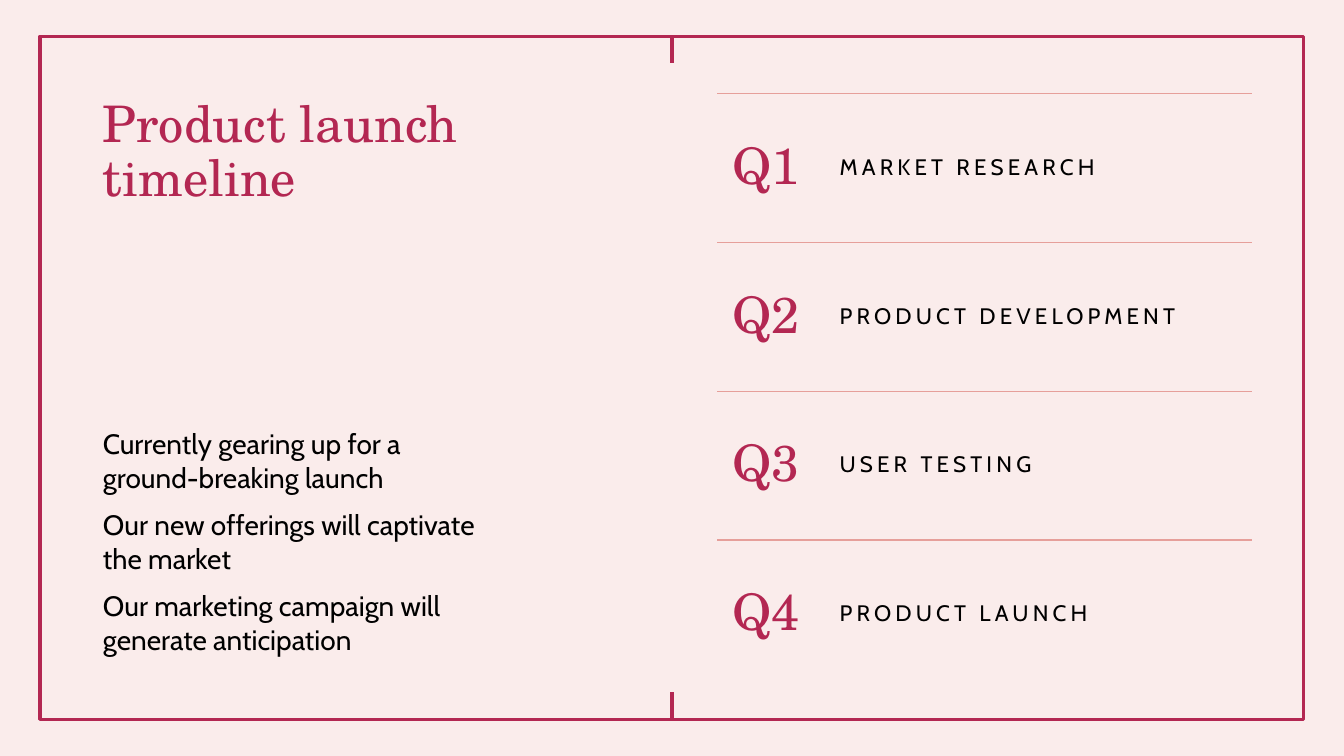
from lxml import etree
from pptx import Presentation
from pptx.dml.color import RGBColor
from pptx.enum import shapes, text
from pptx.oxml import ns
from pptx.util import Cm, Pt

CRIMSON = RGBColor(0xB3, 0x27, 0x52)
ROSE = RGBColor(0xE6, 0x9F, 0x9A)
BLUSH = RGBColor(0xFA, 0xEC, 0xEB)
BLACK = RGBColor(0, 0, 0)
SERIF = "TeX Gyre Schola"
SANS = "Cabin"

presentation = Presentation()
presentation.slide_width = Cm(33.87)
presentation.slide_height = Cm(19.05)
slide = presentation.slides.add_slide(presentation.slide_layouts[1])
slide.background.fill.solid()
slide.background.fill.fore_color.rgb = BLUSH


def style(paragraph, name, size, color):
    paragraph.alignment = text.PP_ALIGN.LEFT
    paragraph.font.name = name
    paragraph.font.size = Pt(size)
    paragraph.font.color.rgb = color


def add_line(x1, y1, x2, y2, color, width):
    line = slide.shapes.add_connector(shapes.MSO_CONNECTOR.STRAIGHT, x1, y1, x2, y2)
    line.line.color.rgb = color
    line.line.width = Pt(width)
    etree.SubElement(line._element.spPr, ns.qn("a:effectLst"))
    return line


frame = slide.shapes.add_shape(
    shapes.MSO_SHAPE.RECTANGLE, Cm(1.01), Cm(0.91), Cm(31.85), Cm(17.22)
)
frame.shadow.inherit = False
frame.fill.background()
frame.line.color.rgb = CRIMSON
frame.line.width = Pt(2.25)

middle = frame.left + frame.width // 2
bottom = frame.top + frame.height
for edge, inner, site in [
    (frame.top, frame.top + Cm(0.69), 0),
    (bottom, bottom - Cm(0.69), 2),
]:
    tick = add_line(middle, edge, middle, inner, CRIMSON, 2.25)
    tick.begin_connect(frame, site)

title = slide.shapes.title
title.left, title.top, title.width, title.height = Cm(2.34), Cm(2.36), Cm(13.46), Cm(7.75)
title.text_frame.text = "Product launch \vtimeline"
title.text_frame.vertical_anchor = text.MSO_ANCHOR.TOP
title.text_frame.auto_size = text.MSO_AUTO_SIZE.NONE
title.text_frame.paragraphs[0].line_spacing = 0.9
style(title.text_frame.paragraphs[0], SERIF, 36, CRIMSON)

body = slide.placeholders[1]
body.left, body.top, body.width, body.height = Cm(2.34), Cm(10.59), Cm(13.61), Cm(6.07)
body.text_frame.text = "\n".join([
    "Currently gearing up for a \vground-breaking launch",
    "Our new offerings will captivate \vthe market",
    "Our marketing campaign will \vgenerate anticipation",
])
body.text_frame.vertical_anchor = text.MSO_ANCHOR.BOTTOM
body.text_frame.auto_size = text.MSO_AUTO_SIZE.NONE
for index, paragraph in enumerate(body.text_frame.paragraphs):
    properties = paragraph._p.get_or_add_pPr()
    properties.set("marL", "0")
    properties.set("indent", "0")
    etree.SubElement(properties, ns.qn("a:buNone"))
    paragraph.space_before = Pt(10 if index else 0)
    style(paragraph, SANS, 20, BLACK)

row_height = 3.75
stages = ["MARKET RESEARCH", "PRODUCT DEVELOPMENT", "USER TESTING", "PRODUCT LAUNCH"]
for index, stage in enumerate(stages):
    top = 2.36 + index * row_height
    add_line(Cm(18.08), Cm(top), Cm(31.55), Cm(top), ROSE, 1)
    for label, left, width, inset, name, size, color, spacing in [
        (f"Q{index + 1}", 18.08, 2.69, 0.38, SERIF, 36, CRIMSON, 0),
        (stage, 20.98, 10.57, 0.18, SANS, 16, BLACK, 300),
    ]:
        box = slide.shapes.add_textbox(Cm(left), Cm(top), Cm(width), Cm(row_height))
        box_text = box.text_frame
        box_text.word_wrap = True
        box_text.vertical_anchor = text.MSO_ANCHOR.MIDDLE
        box_text.margin_left = box_text.margin_right = Cm(inset)
        box_text.margin_top = box_text.margin_bottom = Cm(inset)
        paragraph = box_text.paragraphs[0]
        run = paragraph.add_run()
        run.text = label
        run.font._element.set("spc", str(spacing))
        paragraph.line_spacing = 0.9
        style(paragraph, name, size, color)

presentation.save("out.pptx")
